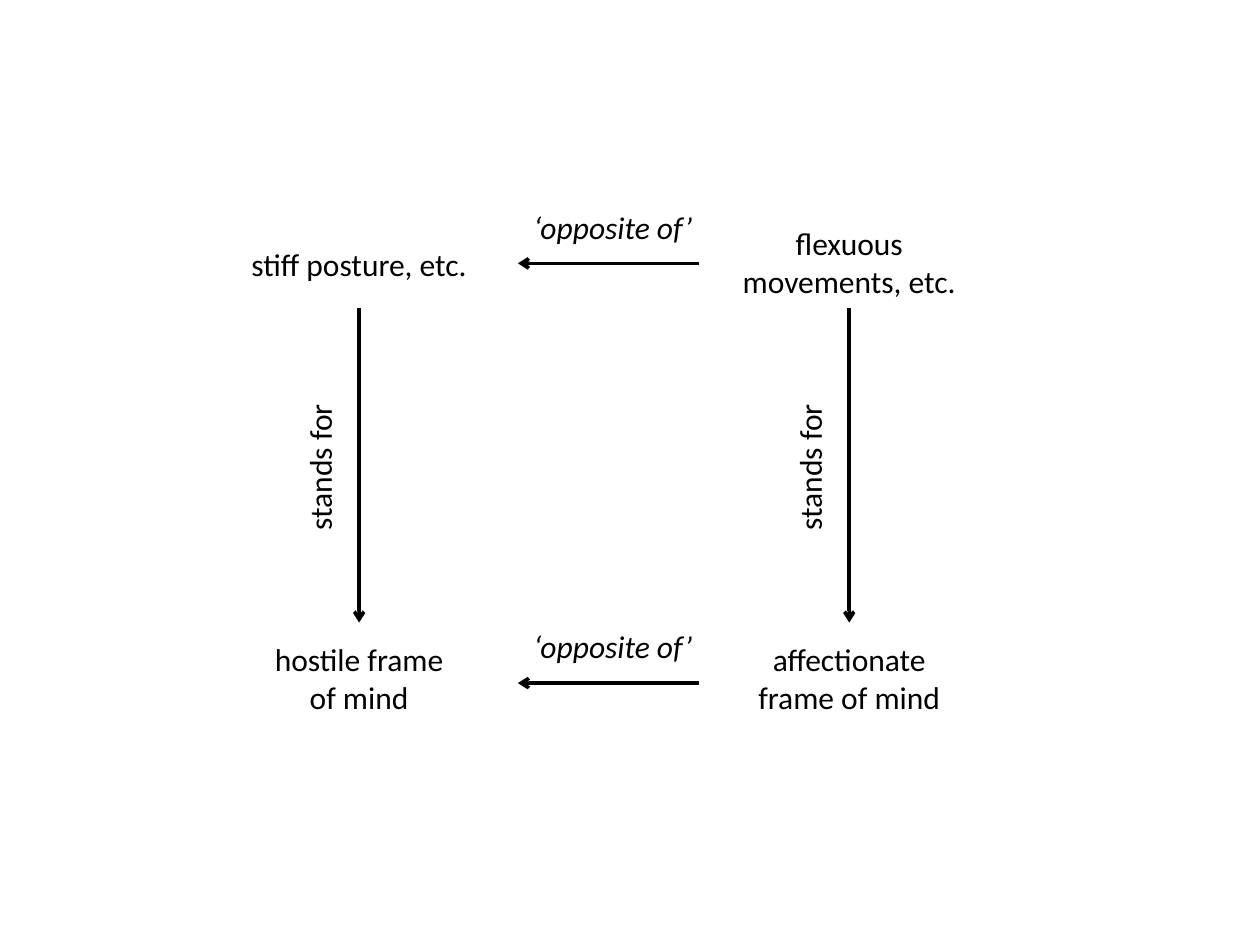
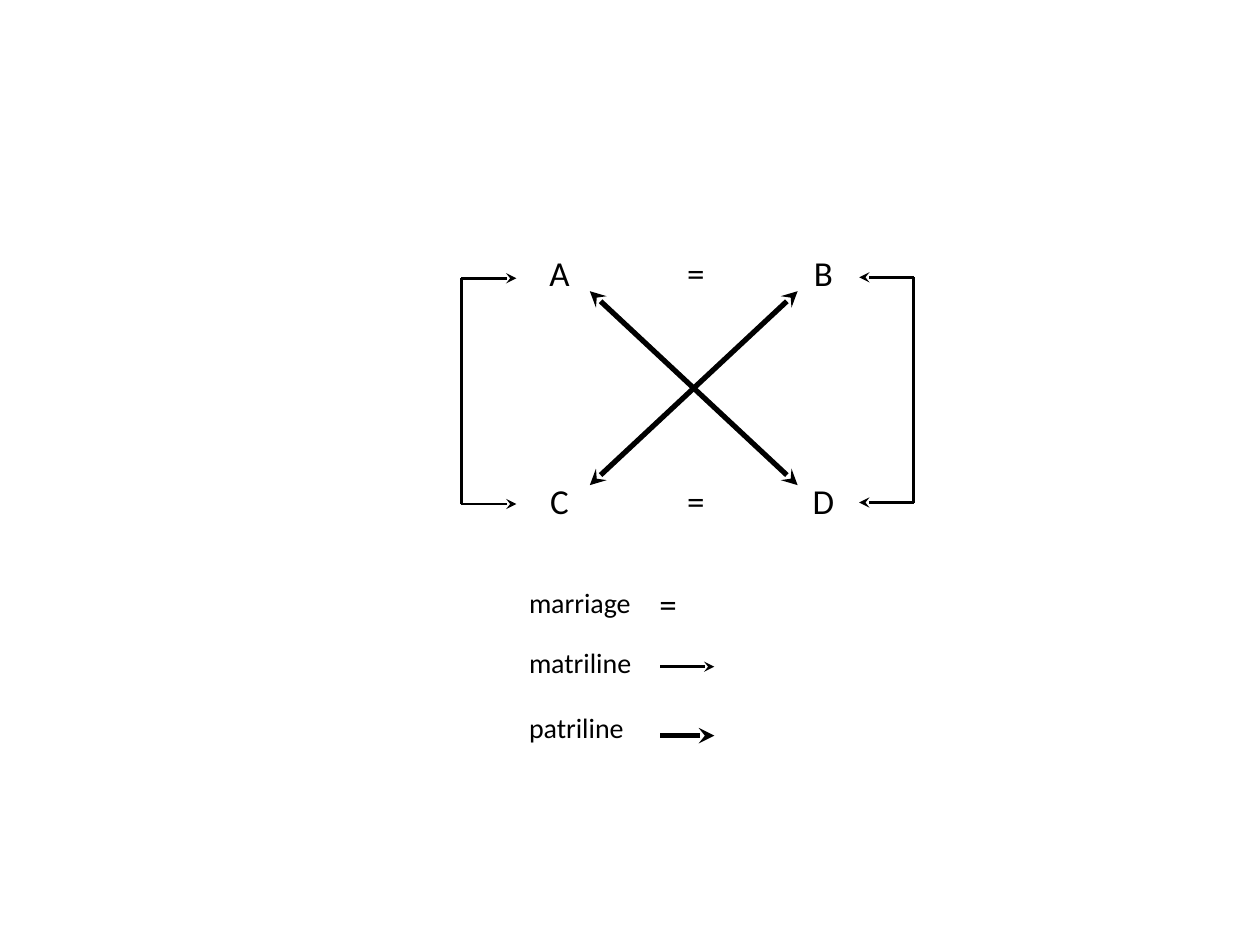
from lxml import etree
from pptx import Presentation
from pptx.dml.color import RGBColor
from pptx.enum.shapes import MSO_CONNECTOR
from pptx.enum.text import MSO_AUTO_SIZE, PP_ALIGN
from pptx.oxml.ns import qn
from pptx.util import Cm, Pt

BLACK = RGBColor(0, 0, 0)
FONT = "Calibri"
STRAIGHT = MSO_CONNECTOR.STRAIGHT
CENTER, LEFT = PP_ALIGN.CENTER, PP_ALIGN.LEFT
FIT = MSO_AUTO_SIZE.SHAPE_TO_FIT_TEXT
WIDE, NARROW, SIGN, LEGEND = 5.56, 4.39, 2.01, 3.63


class Diagram:
    """Draws labels and arrows on the current slide in one shared style."""

    def __init__(self, prs):
        self.prs = prs
        self.s = None

    def new_slide(self, size, head):
        self.s = self.prs.slides.add_slide(self.prs.slide_layouts[6])
        self.size, self.head = size, head

    def label(self, text, x, y, w, h, size=None, align=CENTER, italic=None, turn=0):
        sp = self.s.shapes.add_textbox(Cm(x - w / 2), Cm(y - h / 2), Cm(w), Cm(h))
        sp.rotation = turn
        tf = sp.text_frame
        tf.word_wrap = True
        tf.auto_size = FIT
        p = tf.paragraphs[0]
        p.alignment = align
        r = p.add_run()
        r.text = text
        r.font.name = FONT
        r.font.size = Pt(size or self.size)
        r.font.italic = italic
        r.font.color.rgb = BLACK

    def line(self, x1, y1, x2, y2, width, ends=()):
        sp = self.s.shapes.add_connector(STRAIGHT, Cm(x1), Cm(y1), Cm(x2), Cm(y2))
        sp.line.color.rgb = BLACK
        sp.line.width = Pt(width)
        ln = sp.line._get_or_add_ln()
        for end in ends:
            etree.SubElement(ln, qn(f"a:{end}"), type=self.head)
        etree.SubElement(ln.getparent(), qn("a:effectLst"))

    def arrow(self, x1, y1, x2, y2, width):
        self.line(x1, y1, x2, y2, width, ("tailEnd",))

    def double_arrow(self, x1, y1, x2, y2, width):
        self.line(x1, y1, x2, y2, width, ("headEnd", "tailEnd"))

    def bracket(self, x, tip, top, bottom, width):
        for y in (top, bottom):
            self.arrow(x, y, tip, y, width)
        self.line(x, bottom, x, top, width)


def draw_opposites(d):
    d.new_slide(18, "arrow")
    columns = (
        (7.24, "stiff posture, etc.", 5.33, 1.02, "hostile frame of mind"),
        (17.12, "flexuous movements, etc.", 5.3, 1.8, "affectionate frame of mind"),
    )
    for x, sign, y, h, meaning in columns:
        d.arrow(x, 6.2, x, 12.55, 2)
        d.label(sign, x, y, WIDE, h)
        d.label(meaning, x, 13.68, NARROW, 1.8)
        d.label("stands for", x - 0.8, 9.42, WIDE, 1.02, turn=270)
    for y in (5.31, 13.77):
        d.arrow(14.1, y, 10.44, y, 2)
        d.label("‘opposite of’", 12.36, y - 0.74, WIDE, 1.02, italic=True)


def draw_kinship(d):
    d.new_slide(20, "stealth")
    thin, thick = 1.5, 3
    rows = ((5.51, WIDE, "A", "B"), (10.11, NARROW, "C", "D"))
    for y, w, left, right in rows:
        d.label(left, 11.28, y, w, 1.12)
        d.label("=", 14.03, y, SIGN, 1.12)
        d.label(right, 16.6, y, w, 1.12)
    d.double_arrow(11.89, 9.78, 16.08, 5.87, thick)
    d.double_arrow(16.08, 9.78, 11.89, 5.87, thick)
    d.bracket(9.3, 10.41, 5.61, 10.16, thin)
    d.bracket(18.42, 17.32, 5.59, 10.13, thin)
    for name, y in (("marriage", 12.15), ("matriline", 13.35), ("patriline", 14.67)):
        d.label(name, 12.23, y, LEGEND, 0.94, size=16, align=LEFT)
    d.label("=", 13.47, 12.17, SIGN, 1.12)
    for y, width in ((13.44, thin), (14.83, thick)):
        d.arrow(13.31, y, 14.4, y, width)


prs = Presentation()
prs.slide_width, prs.slide_height = Cm(25.4), Cm(19.05)
diagram = Diagram(prs)
draw_opposites(diagram)
draw_kinship(diagram)
prs.save("out.pptx")
